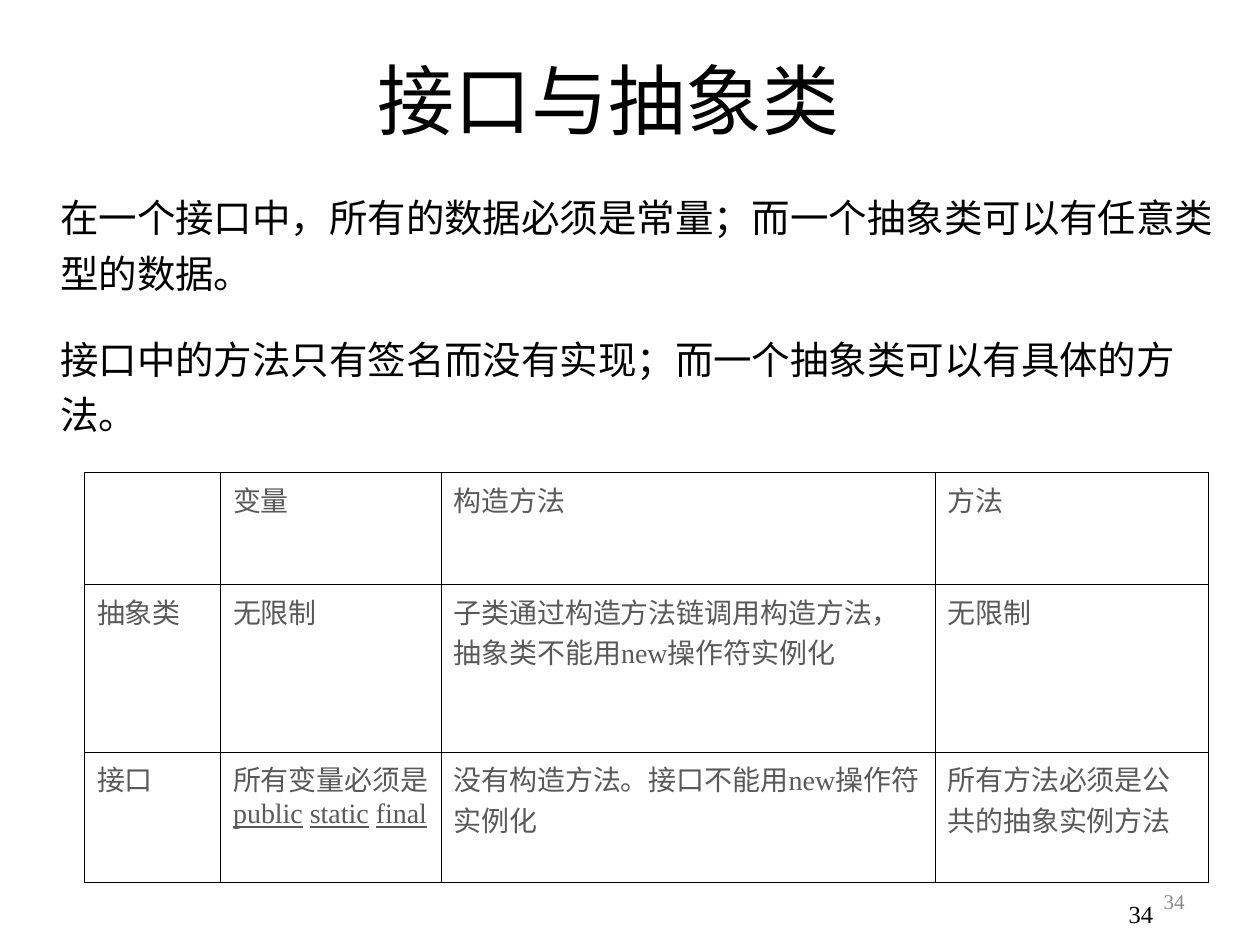
import dataclasses

import lxml.etree
import pptx
import pptx.dml.color
import pptx.enum.text
import pptx.oxml.ns
import pptx.util

Inches = pptx.util.Inches
Align = pptx.enum.text.PP_ALIGN
Anchor = pptx.enum.text.MSO_ANCHOR

BLACK, DARK_GREY, GREY = "000000", "595959", "898989"
SERIF, SANS = "Times New Roman", "Calibri"


@dataclasses.dataclass
class PageNumber:
    left: float
    top: float
    width: float
    height: float
    size: float
    color: str
    wrap: bool


PAGE_NUMBERS = [
    PageNumber(7.17, 6.95, 2.33, 0.4, 12, GREY, True),
    PageNumber(7.17, 7, 2.08, 0.5, 14, BLACK, False),
]
POINTS = [
    "在一个接口中，所有的数据必须是常量；而一个抽象类可以有任意类型的数据。",
    "接口中的方法只有签名而没有实现；而一个抽象类可以有具体的方法。",
]
# Words between underscores are underlined
COMPARISON = [
    ["", "变量", "构造方法", "方法"],
    ["抽象类", "无限制", "子类通过构造方法链调用构造方法，抽象类不能用new操作符实例化", "无限制"],
    ["接口", "所有变量必须是_public_ _static_ _final_",
     "没有构造方法。接口不能用new操作符实例化", "所有方法必须是公共的抽象实例方法"],
]
COLUMN_WIDTHS = [1.08, 1.75, 3.92, 2.17]
RIGHT_MARGINS = [0.1, 0.05, 0.1, 0.1]  # the narrow variable column needs room for seven characters
ROW_HEIGHTS = [0.89, 1.33, 1.03]


def rgb(color: str) -> pptx.dml.color.RGBColor:
    return pptx.dml.color.RGBColor.from_string(color)


def style(paragraph, size: float, name: str, color: str) -> None:
    font = paragraph.font
    font.size = pptx.util.Pt(size)
    font.name = name
    font.color.rgb = rgb(color)


def add_page_number(slide, number: PageNumber) -> None:
    box = slide.shapes.add_textbox(Inches(number.left), Inches(number.top),
                                   Inches(number.width), Inches(number.height))
    frame = box.text_frame
    frame.word_wrap = number.wrap
    frame.vertical_anchor = Anchor.MIDDLE
    paragraph = frame.paragraphs[0]
    paragraph.text = "34"
    paragraph.alignment = Align.RIGHT
    style(paragraph, number.size, SERIF, number.color)


def add_points(slide, points: list[str]) -> None:
    box = slide.shapes.add_textbox(Inches(0.25), Inches(1.42), Inches(9.5), Inches(2.08))
    frame = box.text_frame
    frame.word_wrap = True
    frame.margin_right = Inches(0.05)
    for index, point in enumerate(points):
        paragraph = frame.add_paragraph() if index else frame.paragraphs[0]
        paragraph.text = point
        paragraph.line_spacing = 1.2
        paragraph.space_before = pptx.util.Pt(5.5)
        paragraph.space_after = pptx.util.Pt(12)
        properties = paragraph._p.get_or_add_pPr()
        properties.set("marL", str(Inches(0.13)))
        properties.set("hangingPunct", "0")  # keep closing marks inside the box
        style(paragraph, 22, SANS, BLACK)


def add_borders(cell) -> None:
    properties = cell._tc.get_or_add_tcPr()
    qn = pptx.oxml.ns.qn
    for position, side in enumerate(("a:lnL", "a:lnR", "a:lnT", "a:lnB")):
        line = lxml.etree.Element(qn(side), w=str(pptx.util.Pt(0.45)))
        fill = lxml.etree.SubElement(line, qn("a:solidFill"))
        lxml.etree.SubElement(fill, qn("a:srgbClr"), val=BLACK)
        properties.insert(position, line)


def fill_cell(cell, text: str, right_margin: float) -> None:
    cell.fill.background()
    cell.margin_right = Inches(right_margin)
    add_borders(cell)
    paragraph = cell.text_frame.paragraphs[0]
    style(paragraph, 16, SERIF, DARK_GREY)
    for index, part in enumerate(text.split("_")):
        if part:
            run = paragraph.add_run()
            run.text = part
            if index % 2:
                run.font.underline = True


def add_comparison(slide) -> None:
    table = slide.shapes.add_table(
        len(ROW_HEIGHTS), len(COLUMN_WIDTHS), Inches(0.67), Inches(3.75),
        Inches(sum(COLUMN_WIDTHS)), Inches(sum(ROW_HEIGHTS))).table
    table.first_row = table.horz_banding = False
    for column, width in zip(table.columns, COLUMN_WIDTHS):
        column.width = Inches(width)
    for row, height, texts in zip(table.rows, ROW_HEIGHTS, COMPARISON):
        row.height = Inches(height)
        for cell, text, right_margin in zip(row.cells, texts, RIGHT_MARGINS):
            fill_cell(cell, text, right_margin)


def main() -> None:
    deck = pptx.Presentation()
    deck.slide_width, deck.slide_height = Inches(10), Inches(7.5)
    slide = deck.slides.add_slide(deck.slide_layouts[5])

    # Title
    title = slide.shapes.title
    title.left, title.top = Inches(0.58), Inches(0)
    title.width, title.height = Inches(8.5), Inches(1.56)
    title.text_frame.vertical_anchor = Anchor.MIDDLE
    heading = title.text_frame.paragraphs[0]
    heading.text = "接口与抽象类"
    heading.alignment = Align.CENTER
    style(heading, 44, SANS, BLACK)

    # Body, page numbers and comparison table
    add_points(slide, POINTS)
    for number in PAGE_NUMBERS:
        add_page_number(slide, number)
    add_comparison(slide)
    deck.save("out.pptx")


if __name__ == "__main__":
    main()
